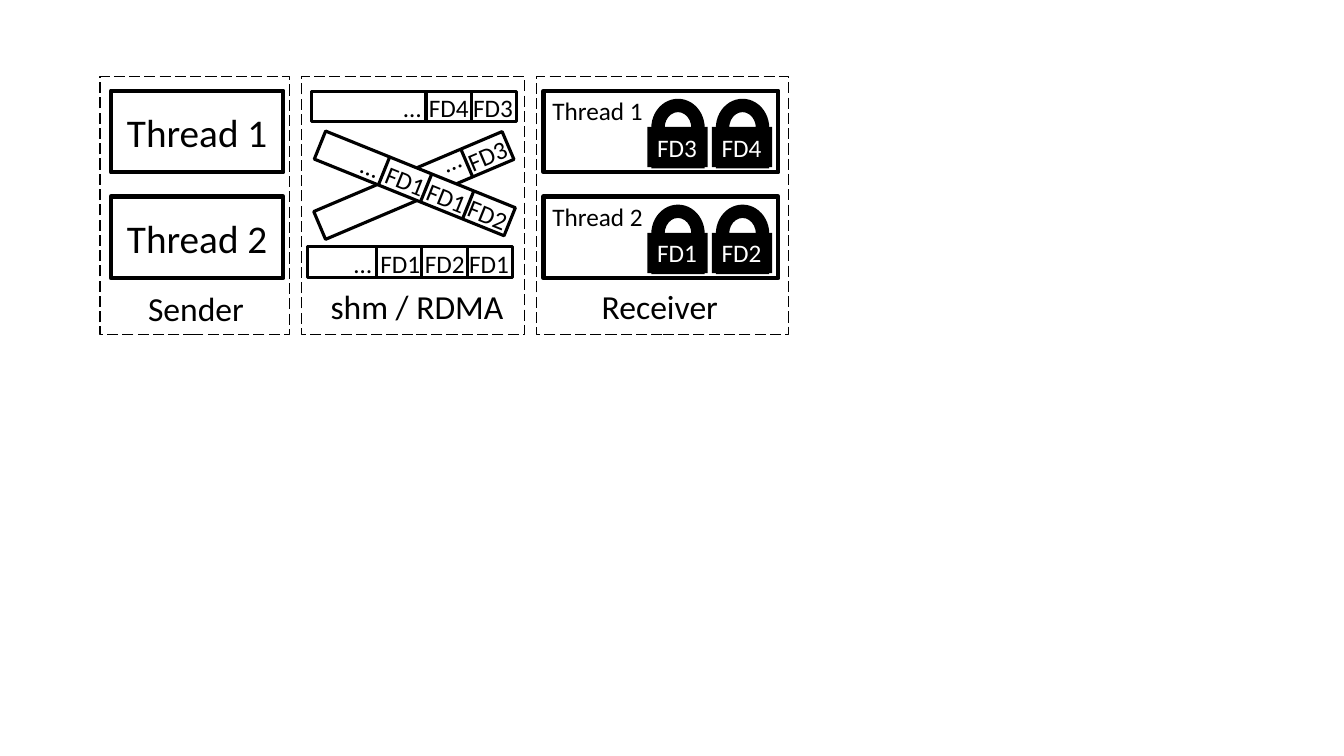
from math import cos, radians, sin

from lxml import etree
from pptx import Presentation, util as u
from pptx.dml.color import RGBColor
from pptx.enum import dml, shapes, text
from pptx.oxml import ns

BLACK = RGBColor(0, 0, 0)
WHITE = RGBColor(255, 255, 255)
KIND = shapes.MSO_SHAPE
TOP, HIGH = 0.76, 2.56  # shared by the three panels
ROW, STEP = 0.14, 1.05  # first thread below the panel top, and thread pitch
BAR = (2.03, 0.3)
CELL = 0.45


def inches(*vals):
    """Turn numbers into lengths."""
    return [u.Inches(v) for v in vals]


def write(shape, words, size=18, color=BLACK, align=text.PP_ALIGN.LEFT,
          anchor=text.MSO_ANCHOR.TOP, grow=True):
    """Put formatted words into a shape."""
    frame = shape.text_frame
    frame.word_wrap = not grow
    if grow:
        frame.auto_size = text.MSO_AUTO_SIZE.SHAPE_TO_FIT_TEXT
    frame.vertical_anchor = anchor
    para = frame.paragraphs[0]
    para.alignment = align
    run = para.add_run()
    run.text = words
    run.font.name, run.font.size = "Calibri", u.Pt(size)
    run.font.color.rgb = color


def label(parts, box, words, turn=0, **style):
    """Add a text box."""
    shape = parts.add_textbox(*inches(*box))
    shape.rotation = turn
    write(shape, words, **style)


def block(parts, box, kind=KIND.RECTANGLE, fill=WHITE, width=0, turn=0):
    """Add a plain preset shape; zero width means no outline."""
    shape = parts.add_shape(kind, *inches(*box))
    shape.shadow.inherit = False
    shape.rotation = turn
    if fill is None:
        shape.fill.background()
    else:
        shape.fill.solid()
        shape.fill.fore_color.rgb = fill
    if width:
        shape.line.color.rgb = BLACK
        shape.line.width = u.Pt(width)
    else:
        shape.line.fill.background()
    return shape


def stroke(parts, start, end):
    """Add a straight cell divider."""
    line = parts.add_connector(shapes.MSO_CONNECTOR.STRAIGHT,
                               *inches(*start, *end))
    line.line.color.rgb = BLACK
    line.line.width = u.Pt(2.25)
    etree.SubElement(line._element.spPr, ns.qn("a:effectLst"))


def panel(parts, left, wide, name, shift, span, drop=2.03):
    """Draw a dashed panel with its caption, span wide and shifted inward."""
    frame = block(parts, (left, TOP, wide, HIGH), fill=None, width=1)
    frame.line.dash_style = dml.MSO_LINE.LONG_DASH
    label(parts, (left + shift, TOP + drop, span, 0.5), name, size=24)


def queue(parts, left, top, names, turn=0, lift=0.01):
    """Draw a queue, its cells filled from the right, turned about its middle."""
    group = parts.add_group_shape().shapes
    wide, high = BAR
    block(group, (left, top, wide, high), width=2.25, turn=turn)
    c, s = cos(radians(turn)), sin(radians(turn))

    def spot(along, down):
        """Map a point in the bar, measured from its middle, to the slide."""
        return (left + wide / 2 + along * c - down * s,
                top + high / 2 + along * s + down * c)

    def tag(words, along, down, width):
        """Centre a turned label on a point in the bar."""
        x, y = spot(along, down)
        label(group, (x - width / 2, y - 0.2, width, 0.4), words, turn)

    for i, name in enumerate(reversed(names)):
        edge = 0.57 - i * CELL
        stroke(group, spot(edge, -high / 2), spot(edge, high / 2))
        tag(name, edge + 0.22 + i * 0.01, 0.01, 0.6)
    tag("…", edge - 0.13, lift, 0.38)


def lock(parts, left, top, name):
    """Draw a padlock holding a name."""
    group = parts.add_group_shape().shapes
    block(group, (left + 0.04, top, 0.53, 0.58), KIND.BLOCK_ARC, BLACK)
    block(group, (left + 0.04, top + 0.32, 0.53, 0.37), fill=BLACK)
    plate = block(group, (left, top + 0.28, 0.6, 0.4), fill=BLACK)
    write(plate, name, color=WHITE)


def sender(parts, left):
    """Draw the sending threads."""
    panel(parts, left, 1.88, "Sender", 0.38, 1.16, 2.05)
    for i in range(2):
        box = (left + 0.11, TOP + ROW + i * STEP, 1.71, 0.81)
        write(block(parts, box, width=3), f"Thread {i + 1}", size=28,
              align=text.PP_ALIGN.CENTER, anchor=text.MSO_ANCHOR.MIDDLE,
              grow=False)


def middle(parts, left):
    """Draw the four queues between the threads."""
    panel(parts, left, 2.21, "shm / RDMA", 0.19, 1.93)
    queue(parts, left + 0.1, TOP + 0.93, ["FD3"], turn=337, lift=-0.08)
    queue(parts, left + 0.11, TOP + 0.91, ["FD1", "FD1", "FD2"], turn=22)
    queue(parts, left + 0.06, TOP + 1.69, ["FD1", "FD2", "FD1"])
    queue(parts, left + 0.1, TOP + 0.15, ["FD4", "FD3"])


def receiver(parts, left):
    """Draw the receiving threads and the locks they hold."""
    panel(parts, left, 2.5, "Receiver", 0.55, 1.37)
    for i, names in enumerate([("FD3", "FD4"), ("FD1", "FD2")]):
        top = TOP + ROW + i * STEP
        block(parts, (left + 0.07, top, 2.33, 0.81), width=3)
        label(parts, (left + 0.06, top, 1.11, 0.4), f"Thread {i + 1}")
        for j, name in enumerate(names):
            lock(parts, left + 1.1 + j * 0.64, top + 0.08, name)


deck = Presentation()
deck.slide_width, deck.slide_height = inches(13.33, 7.5)
parts = deck.slides.add_slide(deck.slide_layouts[6]).shapes
sender(parts, 0.99)
middle(parts, 2.99)
receiver(parts, 5.32)
deck.save("out.pptx")
